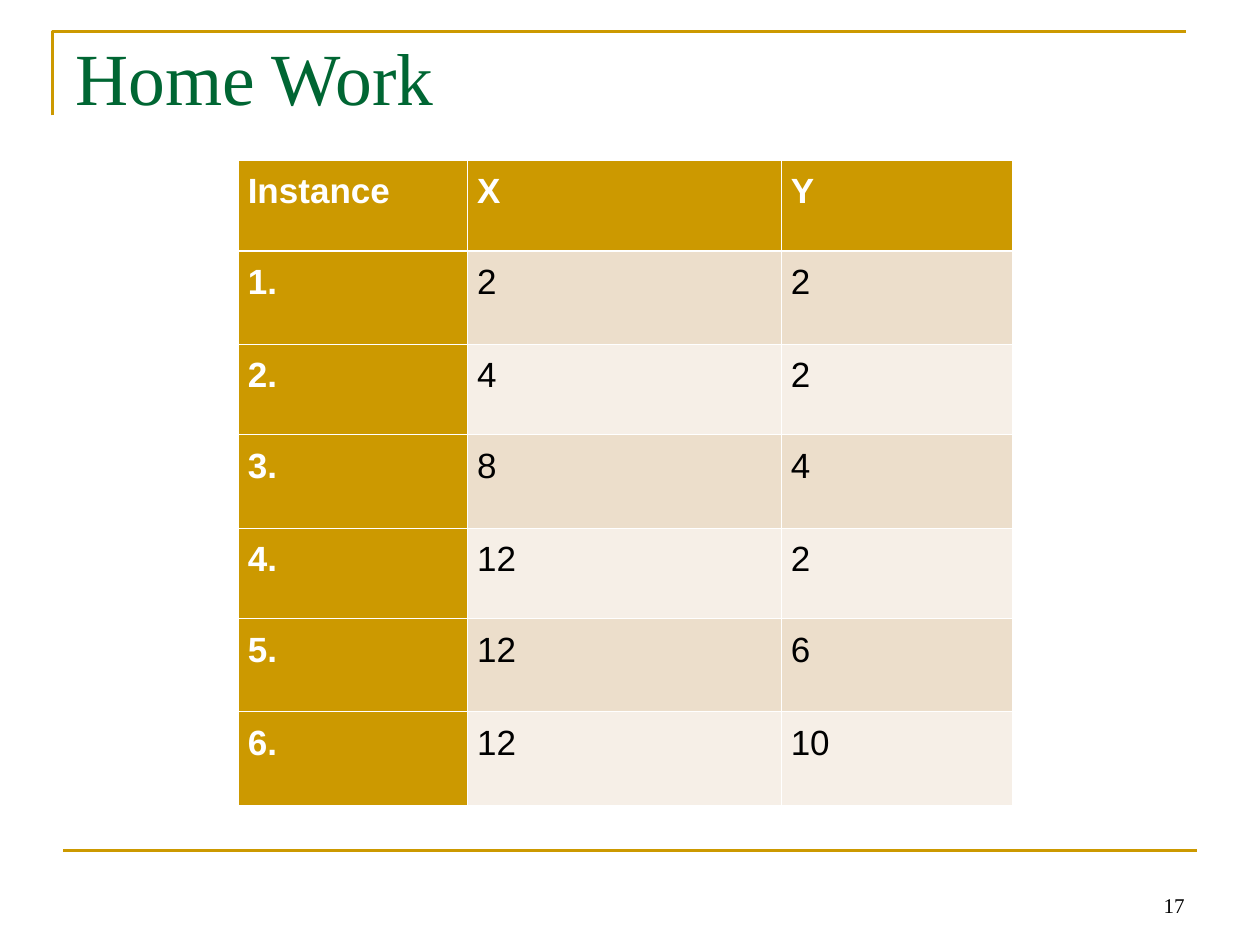
from dataclasses import dataclass

from lxml.etree import SubElement
from pptx import Presentation
from pptx.dml.color import RGBColor
from pptx.enum.shapes import MSO_CONNECTOR
from pptx.enum.text import MSO_ANCHOR, PP_ALIGN
from pptx.oxml.ns import qn
from pptx.util import Pt


@dataclass(frozen=True)
class Theme:
    gold: str = "CC9900"
    green: str = "006633"
    black: str = "000000"
    white: str = "FFFFFF"
    bands: tuple = ("ECDECB", "F6EFE7")
    heading_font: str = "Times New Roman"
    table_font: str = "Arial"
    title_size: float = 42
    table_size: float = 20
    number_size: float = 12
    rule_width: float = 1.5
    border_width: float = 0.45
    header_border_width: float = 1.47


THEME = Theme()
HEADERS = ("Instance", "X", "Y")
POINTS = ((2, 2), (4, 2), (8, 4), (12, 2), (12, 6), (12, 10))
COLUMN_WIDTHS = (131.04, 179.28, 131.76)
ROW_HEIGHTS = (51.84, 53.28, 51.84, 53.28, 51.84, 53.28, 53.28)


def apply_format(target, values):
    for name, value in values.items():
        setattr(target, name, value)


def write_text(text_frame, text, font_name, size, color, bold=False, **paragraph_format):
    paragraph = text_frame.paragraphs[0]
    apply_format(paragraph, paragraph_format)
    run = paragraph.add_run()
    run.text = text
    apply_format(run.font, {"name": font_name, "size": Pt(size), "bold": bold})
    run.font.color.rgb = RGBColor.from_string(color)


def style_rule(shape):
    shape.line.color.rgb = RGBColor.from_string(THEME.gold)
    shape.line.width = Pt(THEME.rule_width)


def add_corner_rule(slide, left, top, right, bottom):
    builder = slide.shapes.build_freeform(Pt(left), Pt(bottom))
    builder.add_line_segments([(Pt(left), Pt(top)), (Pt(right), Pt(top))], close=False)
    shape = builder.convert_to_shape()
    shape.shadow.inherit = False
    shape.fill.background()
    style_rule(shape)


def add_footer_rule(slide, left, right, y):
    connector = slide.shapes.add_connector(
        MSO_CONNECTOR.STRAIGHT, Pt(left), Pt(y), Pt(right), Pt(y)
    )
    style_rule(connector)
    SubElement(connector._element.spPr, qn("a:effectLst"))


def add_label(slide, box, text, size, color, anchor, alignment):
    shape = slide.shapes.add_textbox(*map(Pt, box))
    apply_format(shape.text_frame, {"word_wrap": True, "vertical_anchor": anchor})
    write_text(shape.text_frame, text, THEME.heading_font, size, color, alignment=alignment)


def add_border(cell, side, width):
    properties = cell._tc.get_or_add_tcPr()
    line = SubElement(properties, qn(f"a:ln{side}"), w=str(Pt(width)))
    fill = SubElement(line, qn("a:solidFill"))
    SubElement(fill, qn("a:srgbClr"), val=THEME.white)


def format_cell(cell, text, row, column):
    is_heading = row == 0 or column == 0
    widths = {side: THEME.border_width for side in "LRTB"}
    if row < 2:
        widths["B" if row == 0 else "T"] = THEME.header_border_width
    for side, width in widths.items():
        add_border(cell, side, width)
    cell.fill.solid()
    fill_color = THEME.gold if is_heading else THEME.bands[(row - 1) % 2]
    cell.fill.fore_color.rgb = RGBColor.from_string(fill_color)
    apply_format(cell, {
        "margin_left": Pt(5.4),
        "margin_right": Pt(5.4),
        "margin_top": Pt(3.6),
        "margin_bottom": Pt(3.6),
    })
    write_text(
        cell.text_frame, text, THEME.table_font, THEME.table_size,
        THEME.white if is_heading else THEME.black, is_heading,
        line_spacing=1.15, space_before=Pt(6), space_after=Pt(6),
    )


def add_instance_table(slide, left, top):
    rows = [HEADERS]
    rows += [(f"{number}.", str(x), str(y)) for number, (x, y) in enumerate(POINTS, 1)]
    table = slide.shapes.add_table(
        len(rows), len(HEADERS), Pt(left), Pt(top),
        Pt(sum(COLUMN_WIDTHS)), Pt(sum(ROW_HEIGHTS)),
    ).table
    table.first_col = True
    for column, width in zip(table.columns, COLUMN_WIDTHS):
        column.width = Pt(width)
    for row, height in zip(table.rows, ROW_HEIGHTS):
        row.height = Pt(height)
    for row, texts in enumerate(rows):
        for column, text in enumerate(texts):
            format_cell(table.cell(row, column), text, row, column)


def main():
    presentation = Presentation()
    apply_format(presentation, {"slide_width": Pt(720), "slide_height": Pt(540)})
    slide = presentation.slides.add_slide(presentation.slide_layouts[6])
    add_corner_rule(slide, 30, 18, 678, 66)
    add_footer_rule(slide, 36, 684, 486)
    add_label(slide, (516, 492, 168, 36), "17", THEME.number_size, THEME.black,
              MSO_ANCHOR.BOTTOM, PP_ALIGN.RIGHT)
    add_label(slide, (36, 15, 648, 57), "Home Work", THEME.title_size, THEME.green,
              MSO_ANCHOR.MIDDLE, PP_ALIGN.LEFT)
    add_instance_table(slide, 136.2, 91.5)
    presentation.save("out.pptx")


if __name__ == "__main__":
    main()
